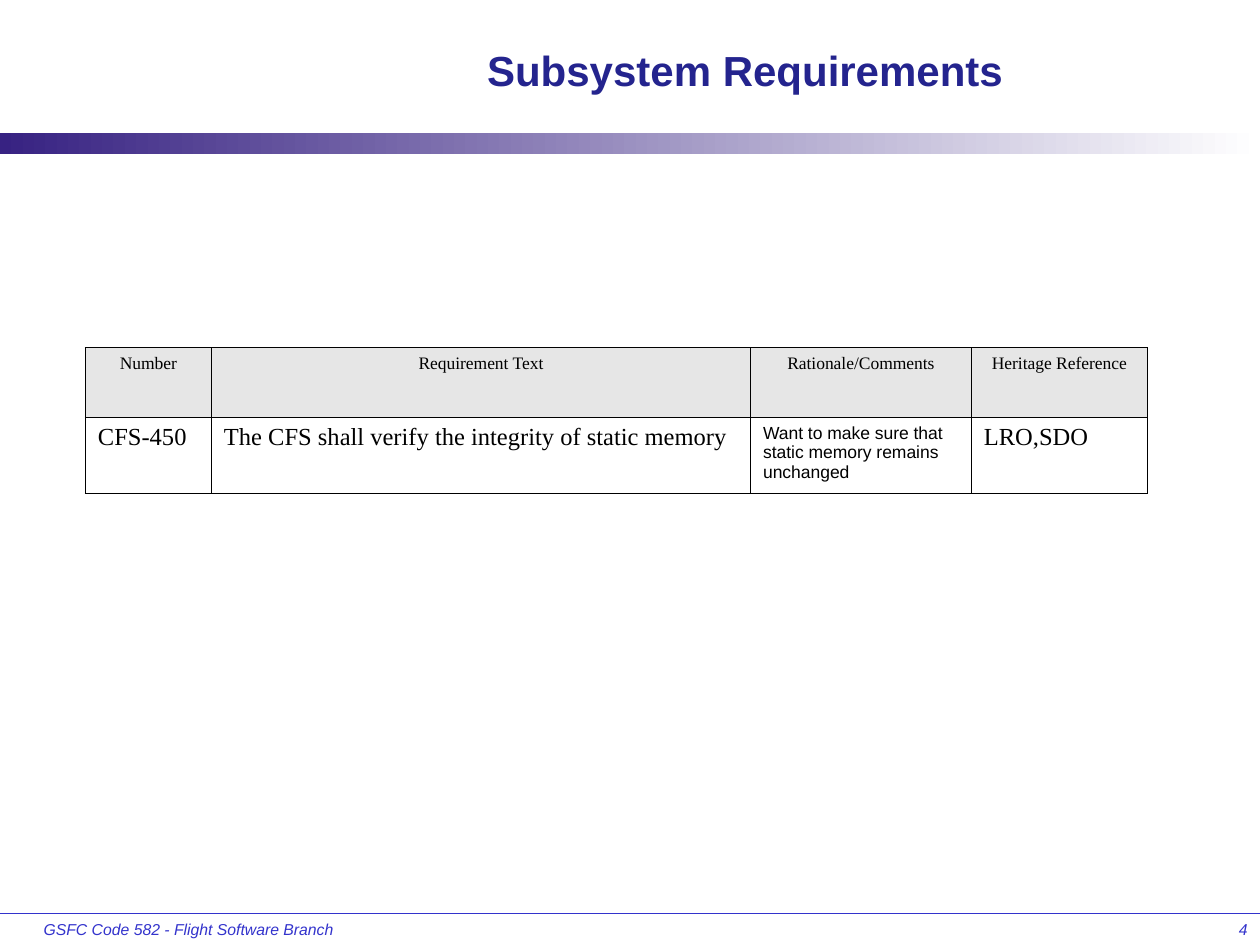
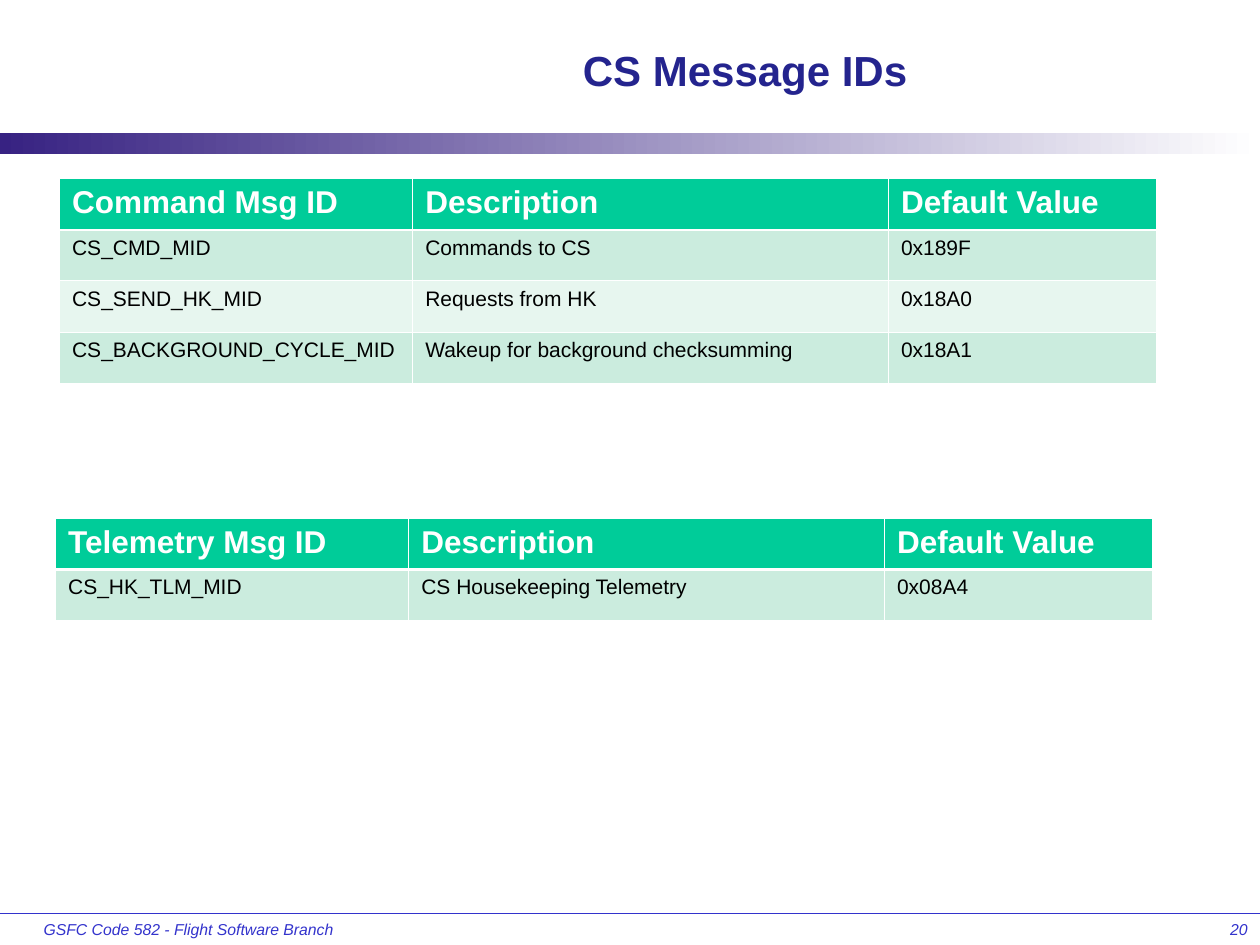
from dataclasses import dataclass
from typing import Optional

from lxml import etree
from pptx import Presentation
from pptx.dml.color import RGBColor
from pptx.enum import shapes, text
from pptx.oxml.ns import qn
from pptx.util import Cm, Pt

# Shared look
SANS, SERIF = "Arial", "Times New Roman"
WHITE, BLACK = "FFFFFF", "000000"
TITLE_BLUE, FOOTER_BLUE, BAND_PURPLE = "24248E", "3333CC", "372282"
GREY, GREEN, MINT, PALE_MINT = "E6E6E6", "00CC99", "CBECDE", "E7F6EF"
SLIDE_W, SLIDE_H = 25.4, 19.05
FOOTER_TOP, FOOTER_H = 18.42, 0.63
FOOTER_TEXT = "GSFC Code 582 - Flight Software Branch"
THIN, THICK = 0.45, 1.47
LEFT, CENTER, RIGHT = text.PP_ALIGN.LEFT, text.PP_ALIGN.CENTER, text.PP_ALIGN.RIGHT


@dataclass(frozen=True)
class TextStyle:
    size: float
    color: str
    font: str = SANS
    bold: bool = False
    italic: bool = False
    align: text.PP_ALIGN = LEFT


@dataclass(frozen=True)
class TableLook:
    header: TextStyle
    body: TextStyle
    header_fill: str
    band_fills: tuple[str, ...]
    border: str
    header_rule: float
    special_columns: Optional[dict[int, TextStyle]] = None


@dataclass(frozen=True)
class TableSpec:
    left: float
    top: float
    cols: tuple[float, ...]
    header_h: float
    row_h: float
    rows: tuple[tuple[str, ...], ...]
    look: TableLook


TITLE = TextStyle(24, TITLE_BLUE, bold=True, align=CENTER)
FOOTER = TextStyle(9, FOOTER_BLUE, italic=True)
PAGE_NUMBER = TextStyle(9, FOOTER_BLUE, italic=True, align=RIGHT)

REQUIREMENT_LOOK = TableLook(
    header=TextStyle(10, BLACK, SERIF, align=CENTER),
    body=TextStyle(14, BLACK, SERIF),
    header_fill=GREY, band_fills=(WHITE,), border=BLACK, header_rule=THIN,
    special_columns={2: TextStyle(10, BLACK)},
)
MESSAGE_LOOK = TableLook(
    header=TextStyle(18, WHITE, bold=True),
    body=TextStyle(12, BLACK),
    header_fill=GREEN, band_fills=(MINT, PALE_MINT), border=WHITE, header_rule=THICK,
)
MESSAGE_COLS = (7.12, 9.59, 5.4)

# Slide contents
REQUIREMENTS = TableSpec(1.72, 7.01, (2.54, 10.87, 4.45, 3.55), 1.4, 1.52, (
    ("Number", "Requirement Text", "Rationale/Comments", "Heritage Reference"),
    ("CFS-450", "The CFS shall verify the integrity of static memory",
     "Want to make sure that static memory remains unchanged", "LRO,SDO"),
), REQUIREMENT_LOOK)
COMMANDS = TableSpec(1.2, 3.6, MESSAGE_COLS, 1.03, 1.03, (
    ("Command Msg ID", "Description", "Default Value"),
    ("CS_CMD_MID", "Commands to CS", "0x189F"),
    ("CS_SEND_HK_MID", "Requests from HK", "0x18A0"),
    ("CS_BACKGROUND_CYCLE_MID", "Wakeup for background checksumming", "0x18A1"),
), MESSAGE_LOOK)
TELEMETRY = TableSpec(1.12, 10.45, MESSAGE_COLS, 1.03, 1.03, (
    ("Telemetry Msg ID", "Description", "Default Value"),
    ("CS_HK_TLM_MID", "CS Housekeeping Telemetry", "0x08A4"),
), MESSAGE_LOOK)
SLIDES = (
    ("Subsystem Requirements", "4", (REQUIREMENTS,)),
    ("CS Message IDs", "20", (COMMANDS, TELEMETRY)),
)


def rgb(color: str) -> RGBColor:
    return RGBColor.from_string(color)


def write(tf, content: str, style: TextStyle) -> None:
    tf.text = content
    tf.word_wrap = True
    p = tf.paragraphs[0]
    p.alignment = style.align
    for r in p.runs:
        r.font.name, r.font.size = style.font, Pt(style.size)
        r.font.bold, r.font.italic = style.bold, style.italic
        r.font.color.rgb = rgb(style.color)


def add_text(s, left: float, width: float, content: str, style: TextStyle) -> None:
    sp = s.shapes.add_textbox(Cm(left), Cm(FOOTER_TOP), Cm(width), Cm(FOOTER_H))
    write(sp.text_frame, content, style)


def add_frame(s, title: str, number: str) -> None:
    # Title
    sp = s.shapes.title
    sp.left, sp.top, sp.width, sp.height = Cm(5.28), Cm(0.43), Cm(19.48), Cm(1.93)
    write(sp.text_frame, title, TITLE)
    sp.text_frame.auto_size = text.MSO_AUTO_SIZE.NONE
    sp.text_frame.vertical_anchor = text.MSO_ANCHOR.MIDDLE

    # Fading band
    band = s.shapes.add_shape(shapes.MSO_SHAPE.RECTANGLE, 0, Cm(2.69), Cm(SLIDE_W), Cm(0.42))
    band.shadow.inherit = False
    band.line.fill.background()
    band.fill.gradient()
    band.fill.gradient_angle = 0
    for stop, color in zip(band.fill.gradient_stops, (BAND_PURPLE, WHITE)):
        stop.color.rgb = rgb(color)

    # Footer rule and texts
    rule = s.shapes.add_connector(shapes.MSO_CONNECTOR.STRAIGHT, 0, Cm(FOOTER_TOP),
                                  Cm(SLIDE_W), Cm(FOOTER_TOP))
    rule.line.color.rgb = rgb(FOOTER_BLUE)
    rule.line.width = Pt(0.75)
    etree.SubElement(rule._element.spPr, qn("a:effectLst"))
    add_text(s, 0.63, 6.4, FOOTER_TEXT, FOOTER)
    add_text(s, 20.12, 5.28, number, PAGE_NUMBER)


def set_borders(cell, color: str, top: float, bottom: float) -> None:
    tc_pr = cell._tc.get_or_add_tcPr()
    for side, width in (("L", THIN), ("R", THIN), ("T", top), ("B", bottom)):
        ln = etree.SubElement(tc_pr, qn(f"a:ln{side}"), w=str(Pt(width)))
        fill = etree.SubElement(ln, qn("a:solidFill"))
        etree.SubElement(fill, qn("a:srgbClr"), val=color)


def add_table(s, spec: TableSpec) -> None:
    look = spec.look
    heights = [spec.header_h] + [spec.row_h] * (len(spec.rows) - 1)
    table = s.shapes.add_table(len(spec.rows), len(spec.cols), Cm(spec.left), Cm(spec.top),
                               Cm(sum(spec.cols)), Cm(sum(heights))).table
    for col, width in zip(table.columns, spec.cols):
        col.width = Cm(width)
    for i, (row, height, values) in enumerate(zip(table.rows, heights, spec.rows)):
        row.height = Cm(height)
        for j, (cell, value) in enumerate(zip(row.cells, values)):
            if i == 0:
                style, fill = look.header, look.header_fill
            else:
                style = (look.special_columns or {}).get(j, look.body)
                fill = look.band_fills[(i - 1) % len(look.band_fills)]
            # Borders precede the fill in the cell properties
            set_borders(cell, look.border,
                        top=look.header_rule if i == 1 else THIN,
                        bottom=look.header_rule if i == 0 else THIN)
            cell.fill.solid()
            cell.fill.fore_color.rgb = rgb(fill)
            write(cell.text_frame, value, style)


def main() -> None:
    prs = Presentation()
    prs.slide_width, prs.slide_height = Cm(SLIDE_W), Cm(SLIDE_H)
    title_only = prs.slide_layouts[5]
    for title, number, tables in SLIDES:
        s = prs.slides.add_slide(title_only)
        add_frame(s, title, number)
        for spec in tables:
            add_table(s, spec)
    prs.save("out.pptx")


if __name__ == "__main__":
    main()
